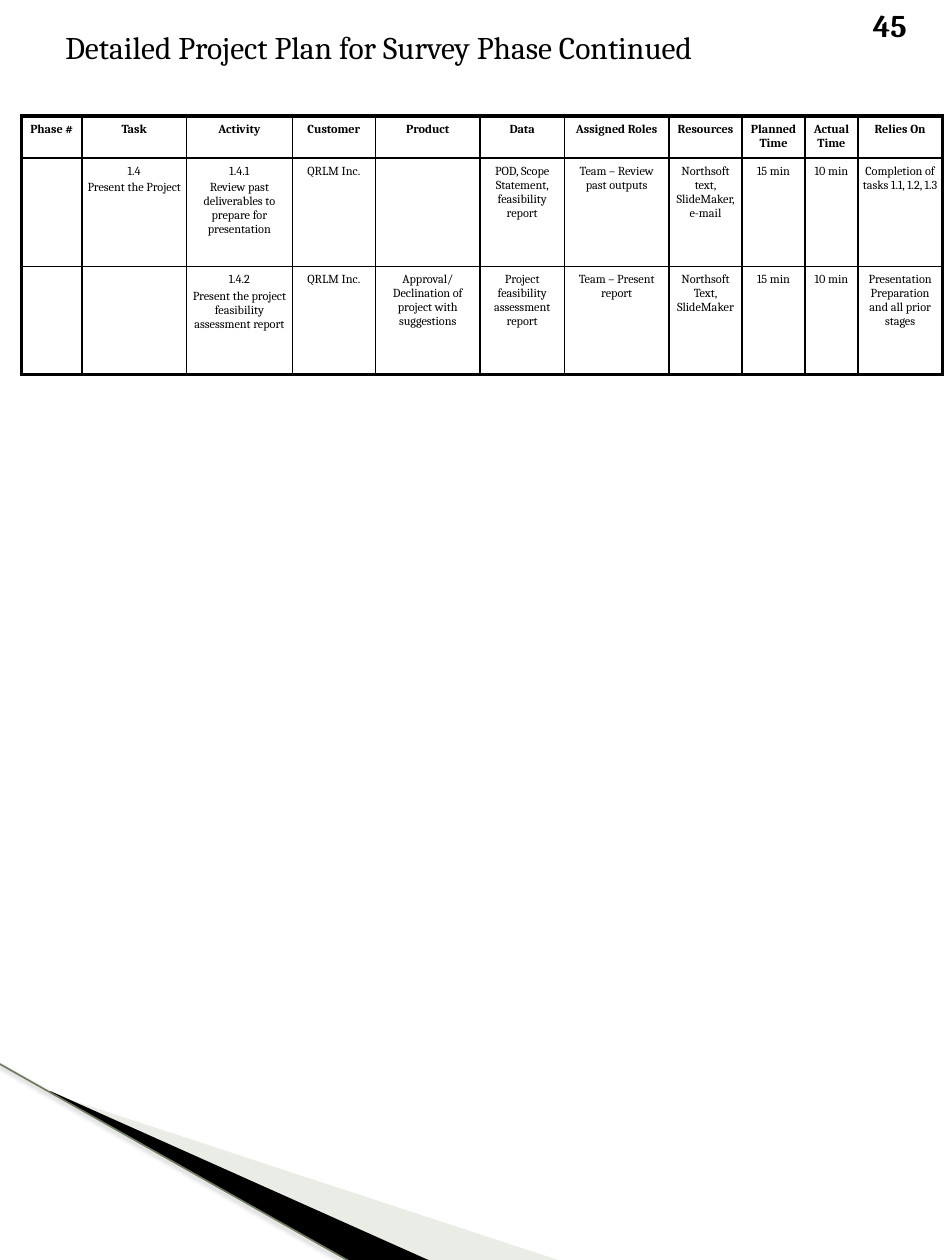
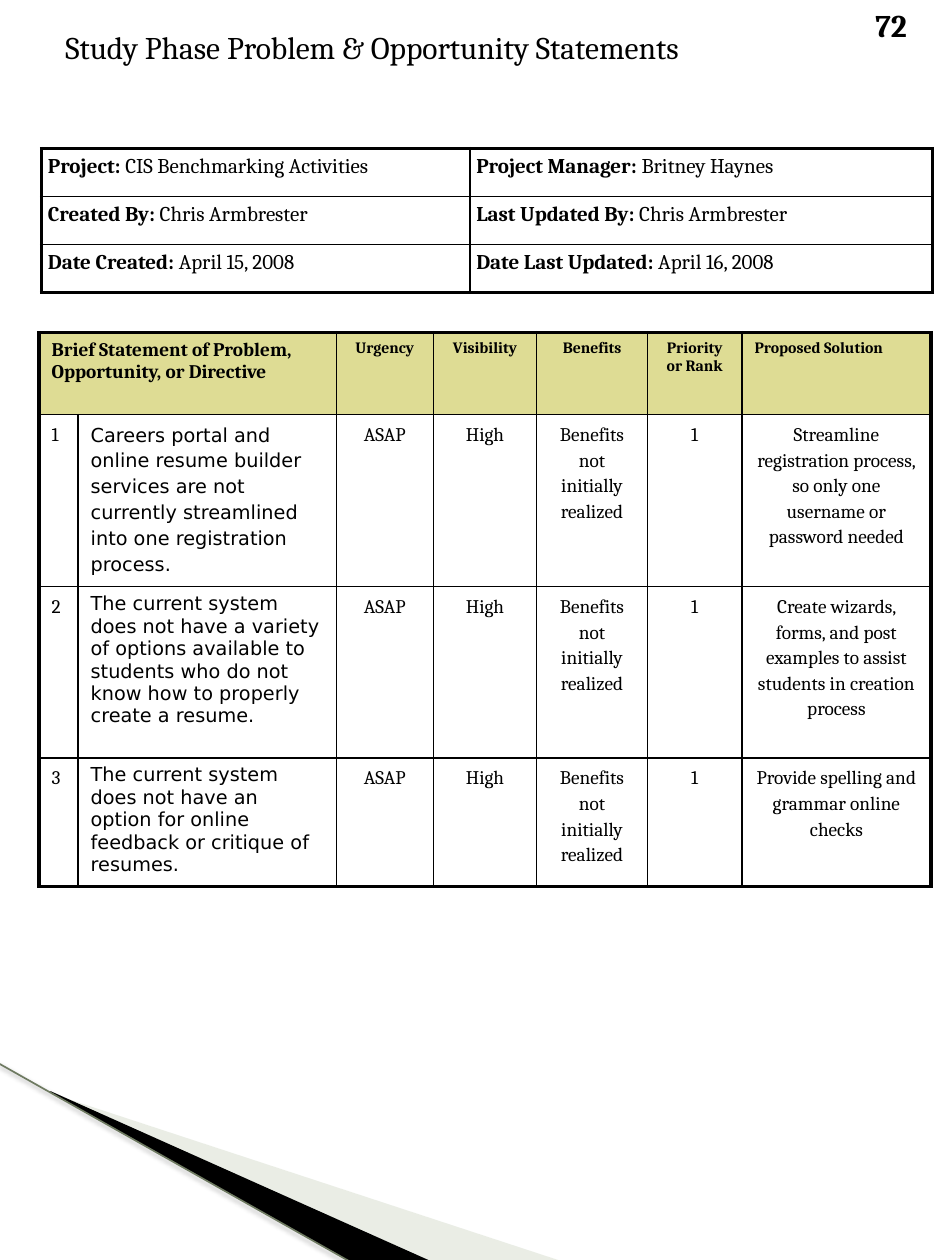
from dataclasses import dataclass, replace
from typing import Optional

from lxml import etree
from pptx import Presentation
from pptx.dml.color import RGBColor
from pptx.enum.shapes import MSO_CONNECTOR
from pptx.enum.text import PP_ALIGN
from pptx.oxml import parse_xml
from pptx.oxml.ns import nsdecls, qn
from pptx.slide import Slide
from pptx.util import Inches, Pt

STRAIGHT = MSO_CONNECTOR.STRAIGHT
LEFT = PP_ALIGN.LEFT
CENTER = PP_ALIGN.CENTER

BLACK = "000000"
SAGE = "CBD4C0"
OLIVE = "6E7A61"
KHAKI = "DEDC94"
SERIF = "Cambria"
SANS = "DejaVu Sans"
THIN = 0.96
THICK = 2.21


@dataclass(frozen=True)
class TextStyle:
    size: float
    bold: bool = False
    font: str = SERIF
    align: PP_ALIGN = LEFT
    line_spacing: float = 1.0
    paragraph_gap: float = 0


@dataclass(frozen=True)
class Cell:
    text: str
    style: TextStyle
    label: str = ""
    fill: Optional[str] = None
    span: int = 1


@dataclass(frozen=True)
class Grid:
    left: float
    top: float
    columns: list[float]
    rows: list[float]
    cells: list[list[Cell]]
    side_margin: float = 0.1


@dataclass(frozen=True)
class Wedge:
    points: list[tuple[float, float]]
    color: str
    opacity: int = 100


TITLE = TextStyle(18)
PAGE_NUMBER = TextStyle(18, bold=True)
PLAN_BODY = TextStyle(7, align=CENTER, paragraph_gap=1.4)
PLAN_HEADER = replace(PLAN_BODY, bold=True)
PROJECT_INFO = TextStyle(12)
STATEMENT_HEADER = TextStyle(11, bold=True)
RATING_HEADER = TextStyle(9, bold=True, align=CENTER)
SOLUTION_HEADER = replace(RATING_HEADER, align=LEFT)
ROW_NUMBER = TextStyle(11, line_spacing=1.15)
RATING = replace(ROW_NUMBER, align=CENTER)
STATEMENT = TextStyle(11, font=SANS)
SPACED_STATEMENT = replace(STATEMENT, line_spacing=1.15)

WEDGES = [
    Wedge([(0.41, 8.68), (4.46, 10.01), (3.42, 10.01), (0.41, 8.67)], SAGE, 40),
    Wedge([(0.4, 8.66), (3.42, 10.01), (2.79, 10.02), (0.4, 8.67)], BLACK),
]

PLAN_HEADINGS = [
    "Phase #", "Task", "Activity", "Customer", "Product", "Data",
    "Assigned Roles", "Resources", "Planned Time", "Actual Time", "Relies On",
]
PLAN_ACTIVITIES = [
    [
        "", "1.4\nPresent the Project",
        "1.4.1\nReview past deliverables to prepare for presentation",
        "QRLM Inc.", "", "POD, Scope Statement, feasibility report",
        "Team – Review past outputs", "Northsoft text, SlideMaker, e-mail",
        "15 min", "10 min", "Completion of tasks 1.1, 1.2, 1.3",
    ],
    [
        "", "", "1.4.2\nPresent the project feasibility assessment report",
        "QRLM Inc.", "Approval/ Declination of project with suggestions",
        "Project feasibility assessment report", "Team – Present report",
        "Northsoft Text, SlideMaker", "15 min", "10 min",
        "Presentation Preparation and all prior stages",
    ],
]
PROJECT_DETAILS = [
    [("Project:", "CIS Benchmarking Activities"),
     ("Project Manager:", "Britney Haynes")],
    [("Created By:", "Chris Armbrester"),
     ("Last Updated By:", "Chris Armbrester")],
    [("Date Created:", "April 15, 2008"),
     ("Date Last Updated:", "April 16, 2008")],
]
RATING_HEADINGS = ["Urgency", "Visibility", "Benefits", "Priority or Rank"]
RATINGS = ["ASAP", "High", "Benefits not initially realized", "1"]
PROBLEMS = [
    ("Careers portal and online resume builder services are not currently "
     "streamlined into one registration process.", SPACED_STATEMENT,
     "Streamline registration process, so only one username or password needed"),
    ("The current system does not have a variety of options available to "
     "students who do not know how to properly create a resume.", STATEMENT,
     "Create wizards, forms, and post examples to assist students in "
     "creation process"),
    ("The current system does not have an option for online feedback or "
     "critique of resumes.", STATEMENT,
     "Provide spelling and grammar online checks"),
]


def rgb(color: str) -> RGBColor:
    return RGBColor.from_string(color)


def write_text(text_frame, text: str, style: TextStyle, label: str = "") -> None:
    for index, line in enumerate(text.split("\n")):
        paragraph = text_frame.paragraphs[0] if index == 0 else text_frame.add_paragraph()
        paragraph.alignment = style.align
        paragraph.line_spacing = style.line_spacing
        paragraph.space_before = Pt(style.paragraph_gap if index else 0)
        if label:
            label_run = paragraph.add_run()
            label_run.text = f"{label} "
            label_run.font.bold = True
        paragraph.add_run().text = line
        paragraph.font.size = Pt(style.size)
        paragraph.font.name = style.font
        paragraph.font.bold = style.bold
        paragraph.font.color.rgb = rgb(BLACK)


def add_text(slide: Slide, left: float, top: float, width: float, height: float,
             text: str, style: TextStyle) -> None:
    box = slide.shapes.add_textbox(
        Inches(left), Inches(top), Inches(width), Inches(height))
    box.text_frame.word_wrap = True
    write_text(box.text_frame, text, style)


def add_wedge(slide: Slide, wedge: Wedge) -> None:
    points = [(Inches(x), Inches(y)) for x, y in wedge.points]
    builder = slide.shapes.build_freeform(*points[0])
    builder.add_line_segments(points[1:], close=True)
    shape = builder.convert_to_shape()
    shape.shadow.inherit = False
    shape.fill.solid()
    shape.fill.fore_color.rgb = rgb(wedge.color)
    shape.line.fill.background()
    if wedge.opacity < 100:
        color = shape.fill._xPr.find(f".//{qn('a:srgbClr')}")
        etree.SubElement(color, qn("a:alpha"), val=str(wedge.opacity * 1000))


def add_edge_line(slide: Slide) -> None:
    line = slide.shapes.add_connector(
        STRAIGHT, Inches(-0.01), Inches(8.44), Inches(2.79), Inches(10.02))
    line.line.color.rgb = rgb(OLIVE)
    line.line.width = Pt(THIN)
    line._element.spPr.append(parse_xml(
        f'<a:effectLst {nsdecls("a")}>'
        f'<a:outerShdw blurRad="{Pt(3.1)}" dist="{Pt(1.6)}" dir="5400000">'
        f'<a:srgbClr val="{BLACK}"><a:alpha val="38000"/></a:srgbClr>'
        "</a:outerShdw></a:effectLst>"))


def set_borders(cell, widths: dict[str, float]) -> None:
    properties = cell._tc.get_or_add_tcPr()
    for side, width in widths.items():
        properties.append(parse_xml(
            f'<a:ln{side} {nsdecls("a")} w="{Pt(width)}"><a:solidFill>'
            f'<a:srgbClr val="{BLACK}"/></a:solidFill></a:ln{side}>'))


def add_grid(slide: Slide, grid: Grid) -> None:
    row_count, column_count = len(grid.rows), len(grid.columns)
    table = slide.shapes.add_table(
        row_count, column_count, Inches(grid.left), Inches(grid.top),
        Inches(sum(grid.columns)), Inches(sum(grid.rows))).table
    table.first_row = False
    table.horz_banding = False
    for column, width in zip(table.columns, grid.columns):
        column.width = Inches(width)
    for row, height in zip(table.rows, grid.rows):
        row.height = Inches(height)
    for row_index in range(row_count):
        for column_index in range(column_count):
            cell = table.cell(row_index, column_index)
            set_borders(cell, {
                "L": THICK if column_index == 0 else THIN,
                "R": THICK if column_index == column_count - 1 else THIN,
                "T": THICK if row_index == 0 else THIN,
                "B": THICK if row_index == row_count - 1 else THIN,
            })
            cell.fill.background()
    for row_index, contents in enumerate(grid.cells):
        column_index = 0
        for content in contents:
            cell = table.cell(row_index, column_index)
            if content.span > 1:
                cell.merge(table.cell(row_index, column_index + content.span - 1))
            cell.margin_left = cell.margin_right = Inches(grid.side_margin)
            if content.fill:
                cell.fill.solid()
                cell.fill.fore_color.rgb = rgb(content.fill)
            write_text(cell.text_frame, content.text, content.style, content.label)
            column_index += content.span


def add_page(presentation, title: str, number: str, number_left: float) -> Slide:
    slide = presentation.slides.add_slide(presentation.slide_layouts[6])
    for wedge in WEDGES:
        add_wedge(slide, wedge)
    add_edge_line(slide)
    add_text(slide, 0.42, 0.17, 6.25, 0.7, title, TITLE)
    add_text(slide, number_left, 0, 0.6, 0.4, number, PAGE_NUMBER)
    return slide


def project_plan() -> Grid:
    cells = [[Cell(text, PLAN_HEADER) for text in PLAN_HEADINGS]]
    cells += [[Cell(text, PLAN_BODY) for text in row] for row in PLAN_ACTIVITIES]
    return Grid(
        0.17, 0.92,
        [0.48, 0.83, 0.84, 0.66, 0.83, 0.67, 0.83, 0.58, 0.5, 0.42, 0.67],
        [0.33, 0.86, 0.86], cells, side_margin=0.03)


def project_details() -> Grid:
    cells = [[Cell(text, PROJECT_INFO, label) for label, text in row]
             for row in PROJECT_DETAILS]
    return Grid(0.33, 1.18, [3.4, 3.67], [0.38] * 3, cells, side_margin=0.05)


def problem_statements() -> Grid:
    header = [Cell("Brief Statement of Problem, Opportunity, or Directive",
                   STATEMENT_HEADER, fill=KHAKI, span=2)]
    header += [Cell(text, RATING_HEADER, fill=KHAKI) for text in RATING_HEADINGS]
    header.append(Cell("Proposed Solution", SOLUTION_HEADER, fill=KHAKI))
    cells = [header]
    for number, (statement, style, solution) in enumerate(PROBLEMS, start=1):
        cells.append([
            Cell(str(number), ROW_NUMBER),
            Cell(statement, style),
            *(Cell(rating, RATING) for rating in RATINGS),
            Cell(solution, RATING),
        ])
    return Grid(0.31, 2.64, [0.31, 2.05, 0.77, 0.82, 0.88, 0.75, 1.5],
                [0.65, 1.36, 1.36, 1.02], cells)


def main() -> None:
    presentation = Presentation()
    presentation.slide_width = Inches(7.5)
    presentation.slide_height = Inches(10)

    plan = add_page(presentation, "Detailed Project Plan for Survey Phase Continued",
                    "45", 6.83)
    add_grid(plan, project_plan())

    statements = add_page(presentation, "Study Phase Problem & Opportunity Statements",
                          "72", 6.85)
    add_grid(statements, project_details())
    add_grid(statements, problem_statements())

    presentation.save("out.pptx")


if __name__ == "__main__":
    main()
